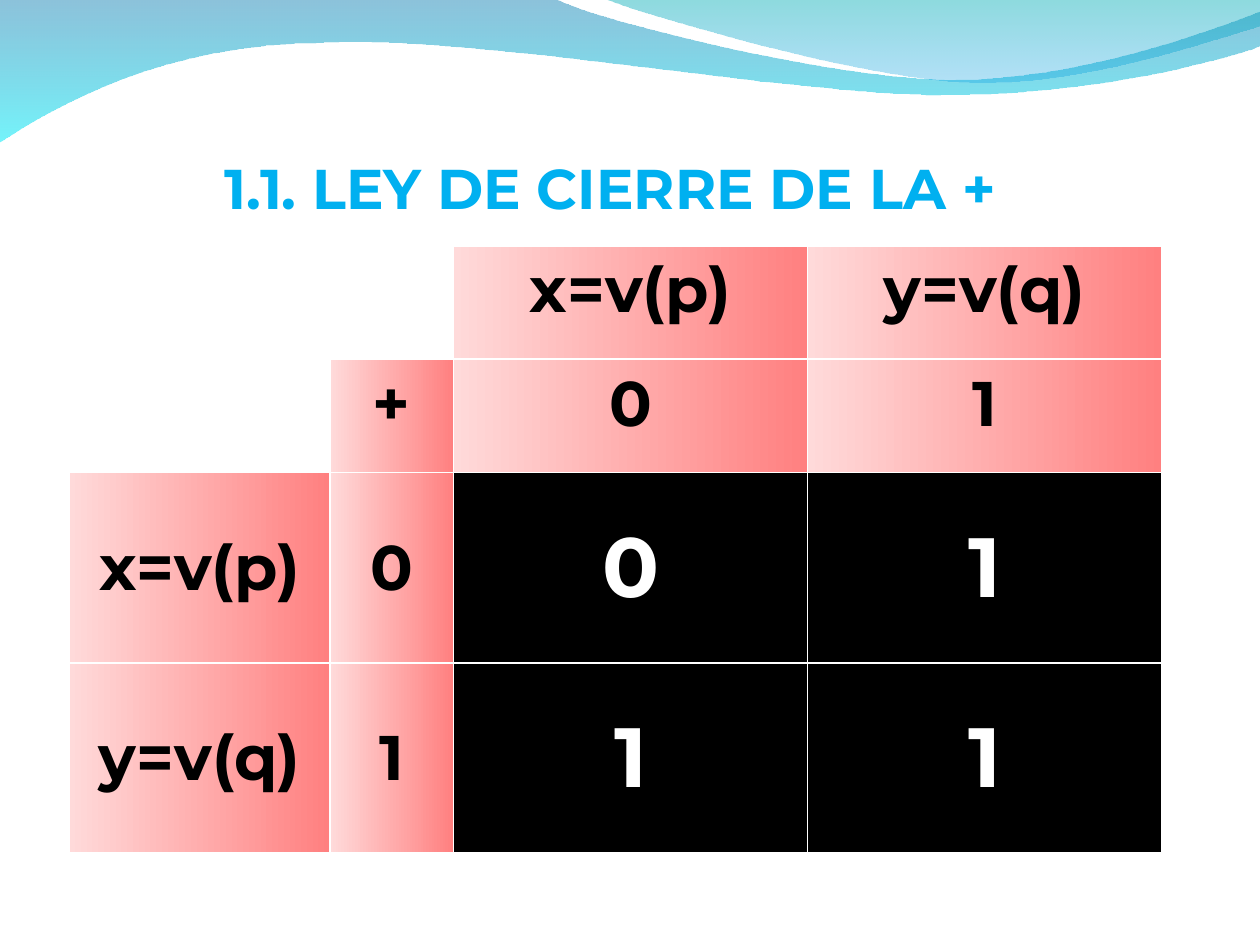
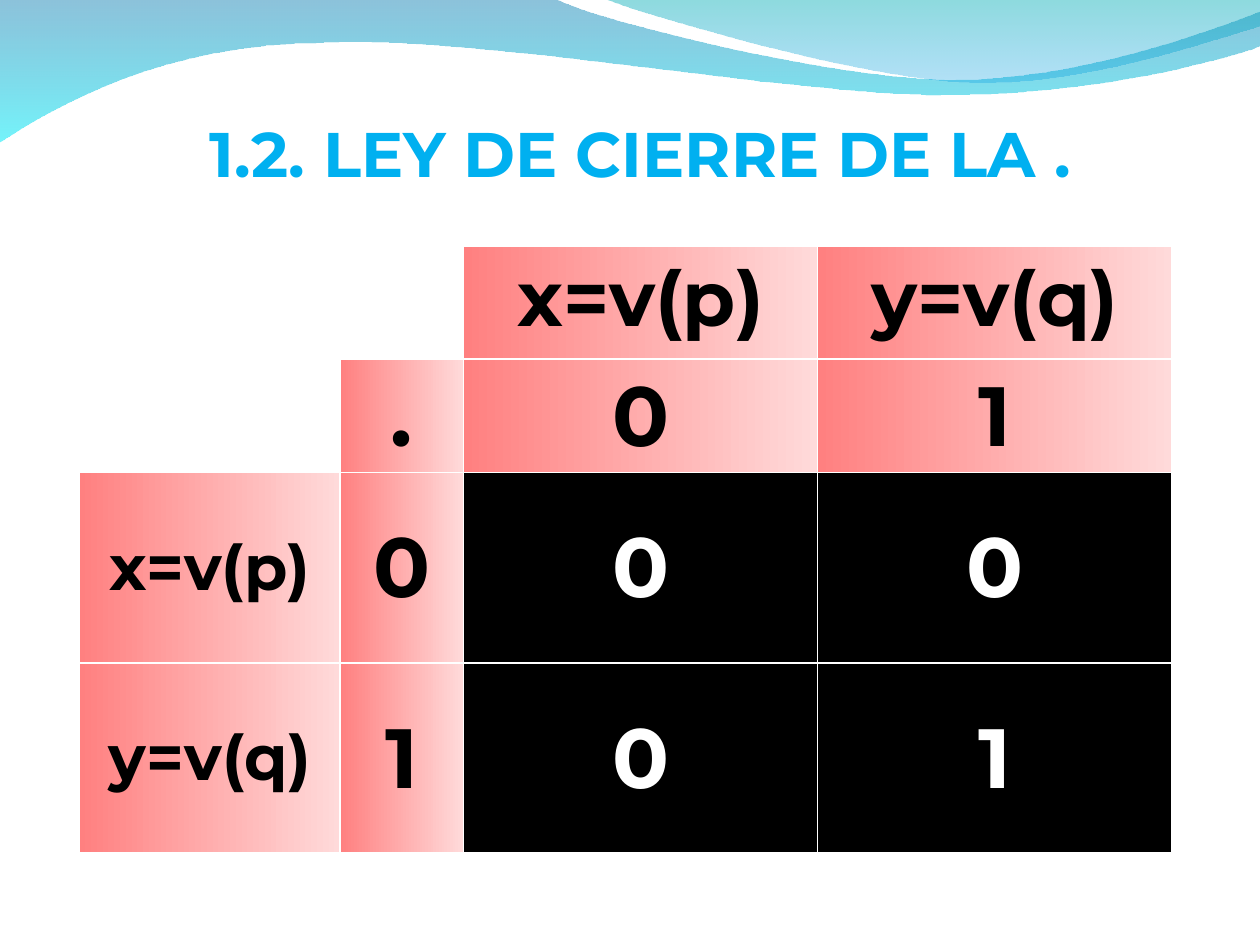
"""Build two slides with the closure tables of the + and . operations."""
from lxml import etree
from pptx import Presentation
from pptx import util as u
from pptx.dml.color import RGBColor
from pptx.enum import text
from pptx.oxml.ns import qn

COLOURS = {
    "title": "00B0F0", "label": "000000", "result": "FFFFFF", "result_fill": "000000",
    "border": "FFFFFF", "header_strong": "FF8080", "header_soft": "FFDADA",
    "wave_blue": "0079AF", "wave_cyan": "00EBF8", "crest_teal": "00ADB6", "crest_blue": "009BE5",
}
FONT = "Montserrat"
COLUMN_WIDTHS = [2.07, 0.98, 2.81, 2.81]
ROW_HEIGHTS = [0.9, 0.9, 1.51, 1.51]

WAVES = [
    {"start": (0, -0.01),
     "segments": [[(4.4, -0.01)],
                  [(4.76, 0.17), (6.64, 0.63), (7.58, 0.63)],
                  [(8.53, 0.63), (9.58, 0.26), (10, 0.09)],
                  [(10.01, 0.36)],
                  [(9.83, 0.44), (8.7, 0.76), (7.46, 0.75)],
                  [(6.22, 0.75), (3.82, 0.28), (2.57, 0.34)],
                  [(1.29, 0.35), (0.46, 0.83), (-0.01, 1.13)],
                  [(0, -0.01)]],
     "stops": [("wave_blue", 45), ("wave_cyan", 55)]},
    {"start": (4.79, -0.01),
     "segments": [[(5.09, 0.11), (6.82, 0.62), (7.69, 0.65)],
                  [(8.56, 0.69), (9.61, 0.32), (10, 0.21)],
                  [(10, 0)],
                  [(4.79, -0.01)]],
     "stops": [("crest_teal", 45), ("crest_blue", 30)]},
]

LAWS = [
    {"title": "1.1. LEY DE CIERRE DE LA +", "title_box": (1.41, 1.17, 6.87, 0.64), "title_size": 32,
     "table_left": 0.55, "angle": 180, "operator": "+", "results": ["01", "11"],
     "variable_size": 36, "header_size": 36},
    {"title": "1.2. LEY DE CIERRE DE LA .", "title_box": (0.94, 0.86, 8.28, 1.3), "title_size": 36,
     "table_left": 0.63, "angle": 0, "operator": ".", "results": ["00", "01"],
     "variable_size": 44, "header_size": 48},
]


def write(frame, words, size, colour):
    frame.word_wrap = True
    paragraph = frame.paragraphs[0]
    paragraph.alignment = text.PP_ALIGN.CENTER
    run = paragraph.add_run()
    run.text = words
    run.font.name = FONT
    run.font.size = u.Pt(size)
    run.font.bold = True
    run.font.color.rgb = RGBColor.from_string(COLOURS[colour])


def fill_gradient(fill, names, angle):
    fill.gradient()
    fill.gradient_angle = angle
    for stop, name in zip(fill.gradient_stops, names):
        stop.color.rgb = RGBColor.from_string(COLOURS[name])


deck = Presentation()
deck.slide_width, deck.slide_height = u.Inches(10), u.Inches(7.5)

for law in LAWS:
    slide = deck.slides.add_slide(deck.slide_layouts[6])

    for wave in WAVES:
        builder = slide.shapes.build_freeform(*map(u.Inches, wave["start"]))
        builder.add_line_segments([(u.Inches(x), u.Inches(y))
                                   for segment in wave["segments"] for x, y in segment], close=True)
        band = builder.convert_to_shape()
        lines = iter(list(band.element.spPr.iter(qn("a:lnTo"))))
        for segment in wave["segments"]:
            steps = [next(lines) for _ in segment]
            if len(steps) == 3:
                curve = etree.Element(qn("a:cubicBezTo"))
                steps[0].addprevious(curve)
                for step in steps:
                    curve.append(step[0])
                    step.getparent().remove(step)
        band.shadow.inherit = False
        band.line.fill.background()
        fill_gradient(band.fill, [name for name, _ in wave["stops"]], 270)
        stop_colours = band.element.spPr.iter(qn("a:srgbClr"))
        for stop_colour, (_, opacity) in zip(stop_colours, wave["stops"]):
            etree.SubElement(stop_colour, qn("a:alpha"), val=str(opacity * 1000))

    table = slide.shapes.add_table(
        4, 4, u.Inches(law["table_left"]), u.Inches(1.95),
        u.Inches(sum(COLUMN_WIDTHS)), u.Inches(sum(ROW_HEIGHTS))).table
    table.first_row = table.horz_banding = False
    for column, width in zip(table.columns, COLUMN_WIDTHS):
        column.width = u.Inches(width)
    for row, height in zip(table.rows, ROW_HEIGHTS):
        row.height = u.Inches(height)
    table.cell(0, 0).merge(table.cell(0, 1))

    truth_table = [["", "", "x=v(p)", "y=v(q)"],
                   ["", law["operator"], "0", "1"],
                   ["x=v(p)", "0", *law["results"][0]],
                   ["y=v(q)", "1", *law["results"][1]]]
    for r, entries in enumerate(truth_table):
        for c, entry in enumerate(entries):
            cell = table.cell(r, c)
            is_result = r > 1 and c > 1
            if not entry:
                cell.fill.background()
            elif is_result:
                cell.fill.solid()
                cell.fill.fore_color.rgb = RGBColor.from_string(COLOURS["result_fill"])
            else:
                fill_gradient(cell.fill, ["header_strong", "header_soft"], law["angle"])
            if entry:
                if r > 1:
                    cell.vertical_anchor = text.MSO_ANCHOR.MIDDLE
                if is_result:
                    size = 48
                elif c == 0:
                    size = 36
                else:
                    size = law["variable_size"] if r == 0 else law["header_size"]
                write(cell.text_frame, entry, size, "result" if is_result else "label")
            properties = cell._tc.get_or_add_tcPr()
            sides = ("lnL", "lnR", "lnT", "lnB") if entry else ("lnR", "lnB")
            for position, side in enumerate(sides):
                border = etree.Element(qn("a:" + side), w=str(u.Pt(1.08)))
                paint = etree.SubElement(border, qn("a:solidFill"))
                etree.SubElement(paint, qn("a:srgbClr"), val=COLOURS["border"])
                properties.insert(position, border)

    heading = slide.shapes.add_textbox(*map(u.Inches, law["title_box"]))
    write(heading.text_frame, law["title"], law["title_size"], "title")

deck.save("out.pptx")
